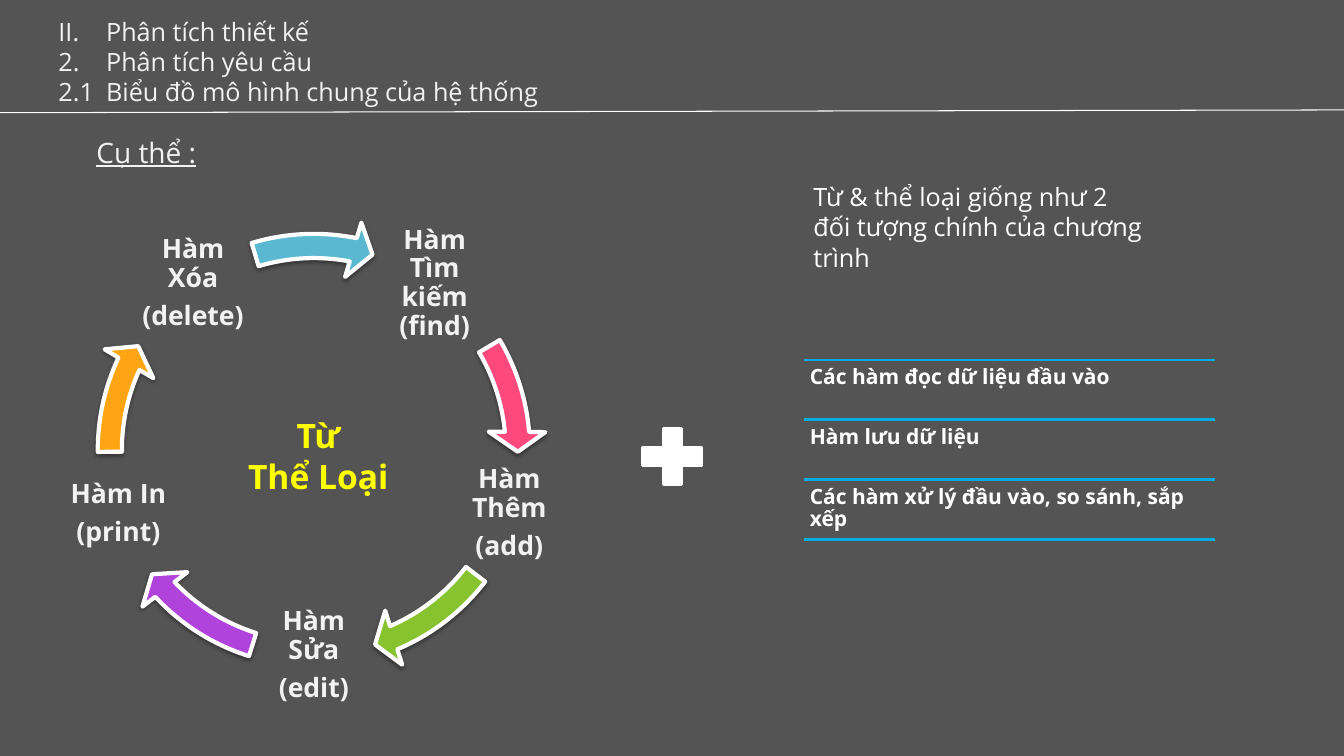
from math import cos, radians, sin

from lxml import etree
from pptx import Presentation
from pptx.dml.color import RGBColor
from pptx.enum.shapes import MSO_CONNECTOR, MSO_SHAPE
from pptx.enum.text import MSO_ANCHOR, MSO_AUTO_SIZE, PP_ALIGN
from pptx.oxml.ns import qn
from pptx.util import Cm, Pt

LINE = MSO_CONNECTOR.STRAIGHT
ARROW, PLUS = MSO_SHAPE.CIRCULAR_ARROW, MSO_SHAPE.MATH_PLUS
TOP, MIDDLE = MSO_ANCHOR.TOP, MSO_ANCHOR.MIDDLE
LEFT, CENTER = PP_ALIGN.LEFT, PP_ALIGN.CENTER
NO_FIT = MSO_AUTO_SIZE.NONE
TITLE_ONLY = 5

FONT = "Open Sans"
COLORS = {
    "back": "545454", "light": "F2F2F2", "white": "FFFFFF", "yellow": "FFFF00",
    "rule": "00ACE2", "pink": "FD497C", "green": "87C32F", "purple": "B143DD",
    "orange": "FFA513", "blue": "5BB8D1",
}

HEADING = ["II.\tPhân tích thiết kế", "2.\tPhân tích yêu cầu",
           "2.1\tBiểu đồ mô hình chung của hệ thống"]
CYCLE = [
    (["Hàm Tìm kiếm (find)"], "pink", 212.95, 197.65),
    (["Hàm Thêm", "(add)"], "green", 40.17, 22.52),
    (["Hàm Sửa", "(edit)"], "purple", 82.13, 64.48),
    (["Hàm In", "(print)"], "orange", 123, 107.69),
    (["Hàm Xóa", "(delete)"], "blue", 168.68, 151.97),
]
ROWS = ["Các hàm đọc dữ liệu đầu vào", "Hàm lưu dữ liệu",
        "Các hàm xử lý đầu vào, so sánh, sắp xếp"]


def rgb(name):
    return RGBColor.from_string(COLORS[name])


def write(tf, lines, size, color, bold=False, underline=None, align=LEFT,
          anchor=TOP, spacing=None, after=0):
    tf.word_wrap = True
    tf.auto_size = NO_FIT
    tf.vertical_anchor = anchor
    for i, line in enumerate(lines):
        p = tf.add_paragraph() if i else tf.paragraphs[0]
        p.alignment = align
        p.space_after = Pt(after)
        if spacing:
            p.line_spacing = spacing
        r = p.add_run()
        r.text = line
        r.font.name = FONT
        r.font.size = Pt(size)
        r.font.bold = bold
        r.font.underline = underline
        r.font.color.rgb = rgb(color)


def add_text(s, x, y, w, h, lines, size, color, inset=None, **style):
    tf = s.shapes.add_textbox(Cm(x), Cm(y), Cm(w), Cm(h)).text_frame
    if inset is not None:
        tf.margin_left = tf.margin_right = Cm(inset)
        tf.margin_top = tf.margin_bottom = Cm(inset)
    write(tf, lines, size, color, **style)


def add_title(s):
    sp = s.shapes.title
    sp.left, sp.top, sp.width, sp.height = Cm(1.22), Cm(0.28), Cm(26.7), Cm(2.57)
    write(sp.text_frame, HEADING, 18, "light")
    for p in sp.text_frame.paragraphs:
        pPr = p._p.get_or_add_pPr()
        pPr.set("marL", str(Cm(1.2)))
        pPr.set("indent", str(-Cm(1.2)))


def add_line(s, x1, y1, x2, y2, color, width):
    c = s.shapes.add_connector(LINE, Cm(x1), Cm(y1), Cm(x2), Cm(y2))
    c.line.color.rgb = rgb(color)
    c.line.width = Pt(width)
    etree.SubElement(c._element.spPr, qn("a:effectLst"))


def add_shape(s, kind, x, y, w, h, fill, width):
    sp = s.shapes.add_shape(kind, Cm(x), Cm(y), Cm(w), Cm(h))
    sp.shadow.inherit = False
    sp.fill.solid()
    sp.fill.fore_color.rgb = rgb(fill)
    sp.line.color.rgb = rgb("white")
    sp.line.width = Pt(width)
    return sp


def add_shadow(sp):
    effects = sp._element.spPr.find(qn("a:effectLst"))
    shadow = etree.SubElement(effects, qn("a:outerShdw"), blurRad=str(Pt(3.1)),
                              dist=str(Pt(1.6)), dir="5400000", rotWithShape="0")
    color = etree.SubElement(shadow, qn("a:srgbClr"), val="000000")
    etree.SubElement(color, qn("a:alpha"), val="38000")


def add_cycle(s, cx, cy, radius, ring, box):
    for i, (lines, color, end, start) in enumerate(CYCLE):
        angle = radians(-54 + i * 360 / len(CYCLE))
        x = cx + radius * cos(angle) - box / 2
        y = cy + radius * sin(angle) - box / 2
        add_text(s, x, y, box, box, lines, 19, "light", inset=0.07, bold=True,
                 align=CENTER, anchor=MIDDLE, spacing=0.9, after=6.65)
        sp = add_shape(s, ARROW, cx - ring / 2, cy - ring / 2, ring, ring, color, 3)
        for n, value in enumerate((0.052, 3.355, end, start, 0.061)):
            sp.adjustments[n] = value
        add_shadow(sp)


def add_rows(s, x, y, w, pitch):
    for i, text in enumerate(ROWS):
        top = y + i * pitch
        add_line(s, x, top, x + w, top, "rule", 2)
        add_text(s, x, top, w, pitch, [text], 15, "white", inset=0.16,
                 bold=True, spacing=0.9)
    bottom = y + len(ROWS) * pitch
    add_line(s, x, bottom, x + w, bottom, "rule", 2)


def main():
    prs = Presentation()
    prs.slide_width, prs.slide_height = Cm(33.87), Cm(19.05)
    s = prs.slides.add_slide(prs.slide_layouts[TITLE_ONLY])
    s.background.fill.solid()
    s.background.fill.fore_color.rgb = rgb("back")

    add_title(s)
    add_line(s, 0, 2.84, 33.87, 2.77, "white", 0.75)
    add_text(s, 2.18, 3.28, 18.06, 1.12, ["Cụ thể :"], 20, "light", underline=True)
    add_cycle(s, 7.91, 11.34, 5.18, 11.71, 3.12)
    add_text(s, 5.99, 10.34, 4.06, 2.31, ["Từ", "Thể Loại"], 24, "yellow",
             bold=True, align=CENTER)
    add_shape(s, PLUS, 15.93, 10.54, 2.03, 1.93, "white", 2)
    add_rows(s, 20.25, 9.07, 10.38, 1.51)
    add_text(s, 20.25, 4.45, 8.92, 1.8,
             ["Từ & thể loại giống như 2 đối tượng chính của chương trình"],
             18, "white")
    prs.save("out.pptx")


if __name__ == "__main__":
    main()
